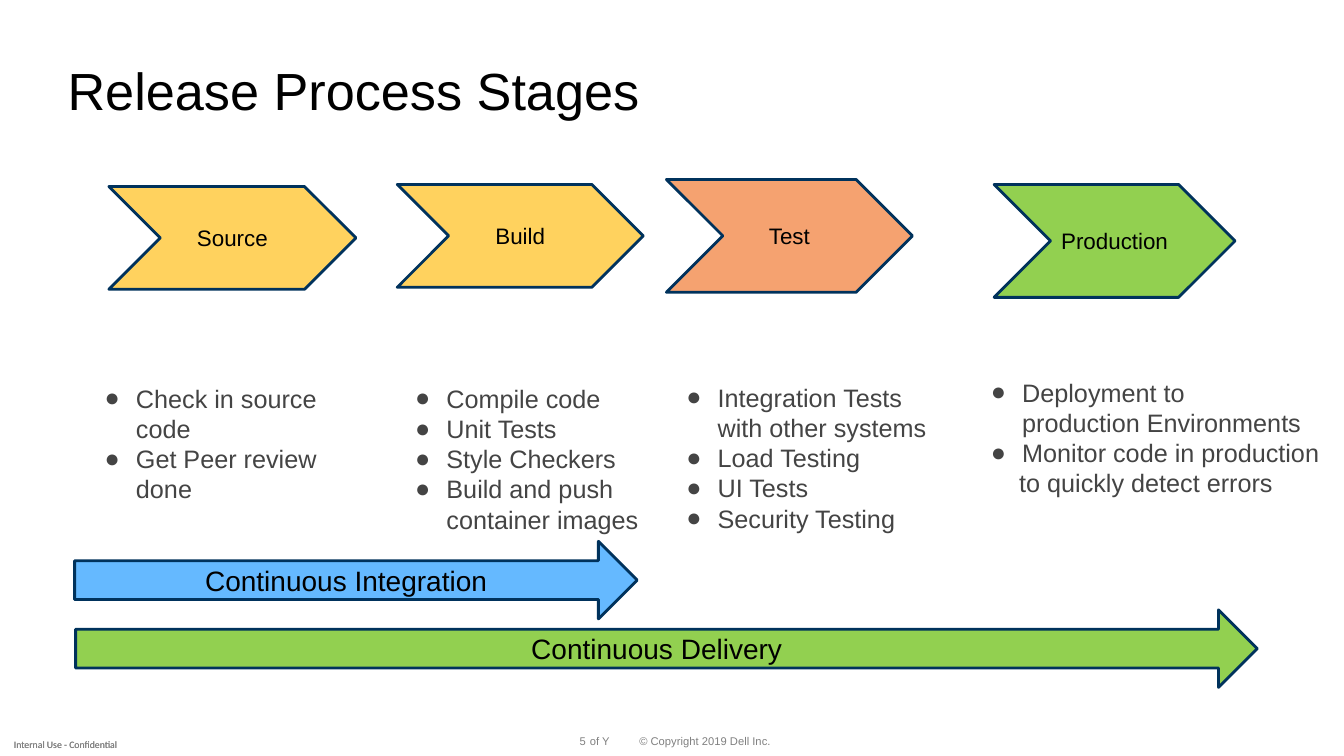
"""Build the release process stages slide."""
import pptx
import pptx.dml.color
import pptx.enum.shapes
import pptx.enum.text
import pptx.util
from lxml import etree
from pptx.oxml.ns import qn

RGBColor = pptx.dml.color.RGBColor
Inches = pptx.util.Inches
Align = pptx.enum.text.PP_ALIGN
Anchor = pptx.enum.text.MSO_ANCHOR
Shape = pptx.enum.shapes.MSO_SHAPE

BLACK = RGBColor(0x00, 0x00, 0x00)
DARK = RGBColor(0x44, 0x44, 0x44)
GRAY = RGBColor(0x80, 0x80, 0x80)
DIM = RGBColor(0x7F, 0x7F, 0x7F)
NAVY = RGBColor(0x00, 0x32, 0x5C)
YELLOW = RGBColor(0xFF, 0xD2, 0x5E)
ORANGE = RGBColor(0xF5, 0xA2, 0x70)
GREEN = RGBColor(0x92, 0xD0, 0x50)
BLUE = RGBColor(0x65, 0xB9, 0xFF)

STAGES = [
    ("Source", YELLOW, (1.08, 1.85, 2.45, 1.02)),
    ("Build", YELLOW, (3.94, 1.83, 2.44, 1.02)),
    ("Test", ORANGE, (6.61, 1.78, 2.44, 1.12)),
    ("Production", GREEN, (9.86, 1.83, 2.39, 1.12)),
]
LISTS = [
    ((0.94, 3.75, 2.32, 1.62),
     ["Check in source\vcode", "Get Peer review\vdone"], None),
    ((4.02, 3.75, 2.44, 1.92),
     ["Compile code", "Unit Tests", "Style Checkers",
      "Build and push\vcontainer images"], None),
    ((6.71, 3.74, 2.6, 1.92),
     ["Integration Tests\vwith other systems", "Load Testing",
      "UI Tests", "Security Testing"], None),
    ((9.73, 3.69, 3.49, 1.31),
     ["Deployment to\vproduction Environments",
      "Monitor code in production"], "to quickly detect errors"),
]
ARROWS = [
    ("Continuous Integration", BLUE, (0.74, 5.37, 5.58, 0.77)),
    ("Continuous Delivery", GREEN, (0.75, 6.05, 11.72, 0.77)),
]
FOOTERS = [
    ("© Copyright 2019 Dell Inc.", (6.34, 7.3, 1.31, 0.12), Align.LEFT),
    ("5", (5.3, 7.3, 0.51, 0.12), Align.RIGHT),
    ("of Y", (5.85, 7.3, 0.2, 0.12), Align.LEFT),
]
LABELS = [(0, 7.33, 1.3, 0.12), (0, 7.27, 1.3, 0.23)]


def write(para, text, size=18, color=BLACK, font="Arial",
          align=Align.LEFT, space=None, left=0, bullet=None):
    """Put formatted text into a paragraph."""
    para.text = text
    para.alignment = align
    para.line_spacing = space
    props = para._p.get_or_add_pPr()
    if left:
        props.set("marL", str(Inches(left)))
    if bullet:
        props.set("indent", str(-Inches(left)))
        etree.SubElement(props, qn("a:buFont")).set("typeface", "Arial")
        etree.SubElement(props, qn("a:buChar")).set("char", bullet)
    for run in para.runs:
        run.font.size = pptx.util.Pt(size)
        run.font.name = font
        run.font.color.rgb = color


class Deck:
    """Hold the style and the current slide."""

    def __init__(self):
        self.show = pptx.Presentation()
        self.show.slide_width = Inches(13.33)
        self.show.slide_height = Inches(7.5)
        self.slide = self.show.slides.add_slide(self.show.slide_layouts[6])
        self.edge = NAVY
        self.width = pptx.util.Pt(2)

    def box(self, place, wrap=True):
        """Add a text box and return its frame."""
        frame = self.slide.shapes.add_textbox(*map(Inches, place)).text_frame
        frame.word_wrap = wrap
        return frame

    def label(self, text, place, wrap=True, **form):
        """Add one line of text without insets."""
        frame = self.box(place, wrap)
        frame.margin_left = frame.margin_right = 0
        frame.margin_top = frame.margin_bottom = 0
        frame.vertical_anchor = Anchor.MIDDLE
        write(frame.paragraphs[0], text, **form)

    def block(self, kind, text, fill, place, size):
        """Add a filled, outlined shape with centred text."""
        shape = self.slide.shapes.add_shape(kind, *map(Inches, place))
        shape.shadow.inherit = False
        shape.fill.solid()
        shape.fill.fore_color.rgb = fill
        shape.line.color.rgb = self.edge
        shape.line.width = self.width
        frame = shape.text_frame
        frame.vertical_anchor = Anchor.MIDDLE
        write(frame.paragraphs[0], text, size=size, align=Align.CENTER)

    def list(self, place, items, tail=None):
        """Add a bulleted list with an optional plain last line."""
        frame = self.box(place, wrap=False)
        frame.auto_size = pptx.enum.text.MSO_AUTO_SIZE.SHAPE_TO_FIT_TEXT
        for i, item in enumerate(items):
            para = frame.add_paragraph() if i else frame.paragraphs[0]
            write(para, item, color=DARK, left=0.31, bullet="●")
        if tail:
            write(frame.add_paragraph(), tail, color=DARK, left=0.28)


def main():
    """Draw and save the slide."""
    deck = Deck()
    for text, place, align in FOOTERS:
        deck.label(text, place, wrap=False, size=8, color=GRAY,
                   align=align, space=0.9)
    for place in LABELS:
        deck.label("Internal Use - Confidential", place, size=7, color=DIM,
                   font="Calibri", align=Align.CENTER)
    deck.label("Release Process Stages", (0.67, 0.3, 12, 1.25),
               size=37.3, space=0.9)
    for text, fill, place in STAGES:
        deck.block(Shape.CHEVRON, text, fill, place, 16)
    for place, items, tail in LISTS:
        deck.list(place, items, tail)
    for text, fill, place in ARROWS:
        deck.block(Shape.RIGHT_ARROW, text, fill, place, 20)
    deck.show.save("out.pptx")


if __name__ == "__main__":
    main()
